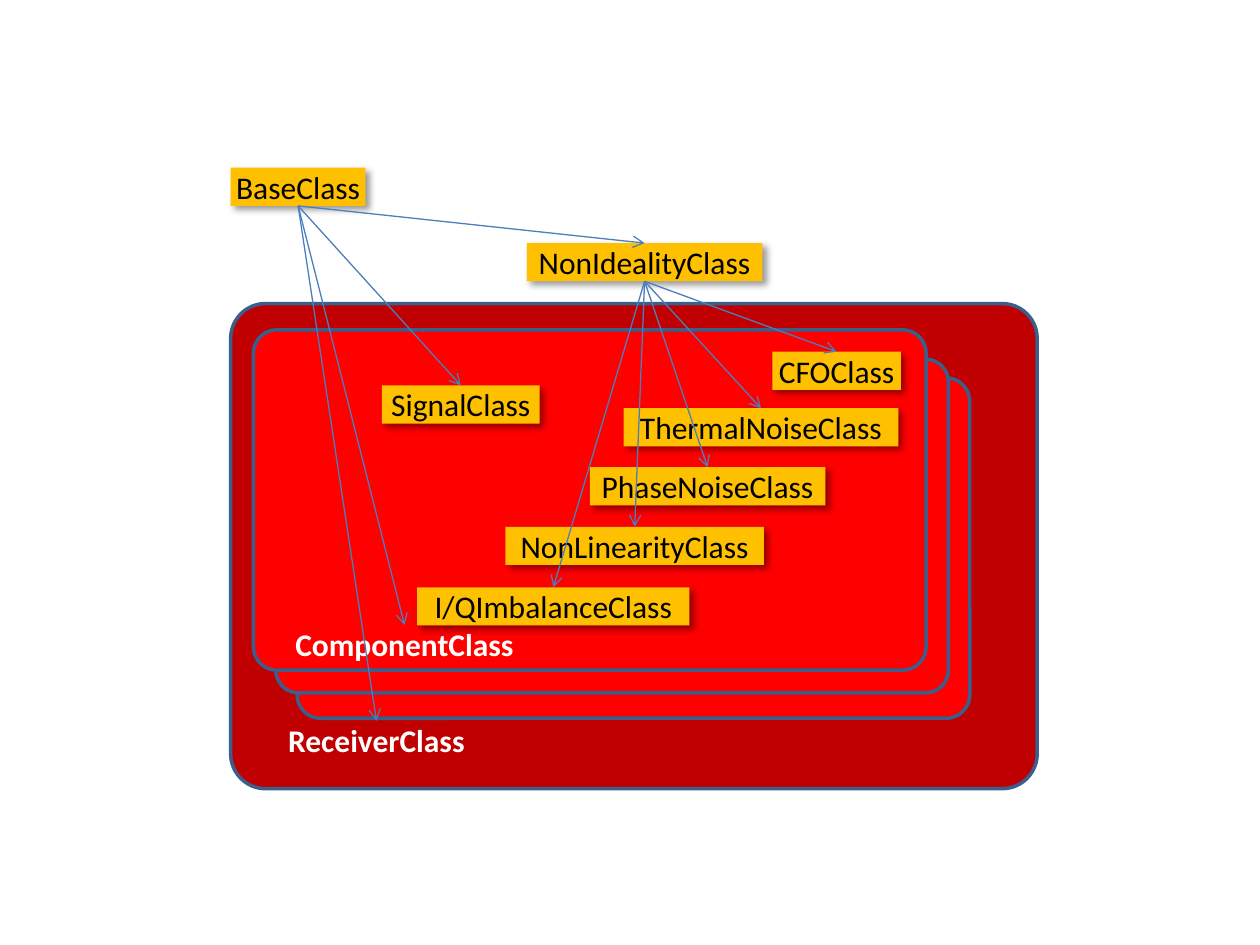
from dataclasses import dataclass

from lxml.etree import SubElement
from pptx import Presentation
from pptx.dml.color import RGBColor
from pptx.enum.shapes import MSO_CONNECTOR, MSO_SHAPE
from pptx.enum.text import MSO_ANCHOR, MSO_AUTO_SIZE, PP_ALIGN
from pptx.oxml.ns import qn
from pptx.shapes.base import BaseShape
from pptx.util import Cm, Pt

COLORS = {
    "receiver": "C00000",
    "component": "FF0000",
    "panel_border": "3A5F8C",
    "class_fill": "FFC000",
    "class_text": "000000",
    "panel_text": "FFFFFF",
    "arrow": "4B7EBC",
    "shadow": "000000",
}
LABEL_HEIGHT = 0.77
BOTTOM, TOP = 2, 0


@dataclass
class Panel:
    left: float
    top: float
    width: float
    height: float
    corner: float
    color: str


@dataclass
class ClassLabel:
    name: str
    left: float
    top: float
    width: float
    names_panel: bool = False


PANELS = [
    Panel(4.65, 6.12, 16.26, 9.78, 0.072, "receiver"),
    Panel(5.99, 7.62, 13.56, 6.86, 0.069, "component"),
    Panel(5.56, 7.24, 13.56, 6.73, 0.069, "component"),
    Panel(5.11, 6.65, 13.56, 6.86, 0.069, "component"),
]

LABELS = [
    ClassLabel("ComponentClass", 5.64, 12.6, 5.03, names_panel=True),
    ClassLabel("BaseClass", 4.65, 3.38, 2.72),
    ClassLabel("NonIdealityClass", 10.62, 4.9, 4.75),
    ClassLabel("ThermalNoiseClass", 12.57, 8.23, 5.54),
    ClassLabel("PhaseNoiseClass", 11.89, 9.42, 4.75),
    ClassLabel("NonLinearityClass", 10.19, 10.62, 5.21),
    ClassLabel("CFOClass", 15.57, 7.09, 2.59),
    ClassLabel("I/QImbalanceClass", 8.41, 11.84, 5.49),
    ClassLabel("SignalClass", 7.7, 7.77, 3.18),
    ClassLabel("ReceiverClass", 5.56, 14.53, 4.06, names_panel=True),
]

SUBCLASSES = {
    "BaseClass": ["NonIdealityClass", "SignalClass", "ComponentClass", "ReceiverClass"],
    "NonIdealityClass": ["CFOClass", "ThermalNoiseClass", "PhaseNoiseClass",
                         "NonLinearityClass", "I/QImbalanceClass"],
}


def rgb(role: str) -> RGBColor:
    return RGBColor.from_string(COLORS[role])


def add_drop_shadow(shape: BaseShape) -> None:
    """Put a soft shadow, cast to the lower right, in the shape's effect list."""
    effects = shape._element.spPr.find(qn("a:effectLst"))
    shadow = SubElement(effects, qn("a:outerShdw"), blurRad=str(Pt(4)), dist=str(Pt(3)),
                        dir="2700000", algn="tl", rotWithShape="0")
    color = SubElement(shadow, qn("a:srgbClr"), val=COLORS["shadow"])
    SubElement(color, qn("a:alpha"), val="40000")


def draw_panel(shapes, panel: Panel) -> None:
    body = shapes.add_shape(MSO_SHAPE.ROUNDED_RECTANGLE, Cm(panel.left), Cm(panel.top),
                            Cm(panel.width), Cm(panel.height))
    body.adjustments[0] = panel.corner
    body.shadow.inherit = False
    body.fill.solid()
    body.fill.fore_color.rgb = rgb(panel.color)
    body.line.color.rgb = rgb("panel_border")
    body.line.width = Pt(2)


def draw_label(shapes, label: ClassLabel) -> BaseShape:
    bounds = Cm(label.left), Cm(label.top), Cm(label.width), Cm(LABEL_HEIGHT)
    if label.names_panel:
        box = shapes.add_textbox(*bounds)
    else:
        box = shapes.add_shape(MSO_SHAPE.RECTANGLE, *bounds)
        box.fill.solid()
        box.fill.fore_color.rgb = rgb("class_fill")
        box.line.fill.background()
        box.shadow.inherit = False
        add_drop_shadow(box)

    frame = box.text_frame
    frame.margin_left = frame.margin_right = frame.margin_top = frame.margin_bottom = 0
    frame.word_wrap = True
    frame.auto_size = MSO_AUTO_SIZE.SHAPE_TO_FIT_TEXT
    frame.vertical_anchor = MSO_ANCHOR.TOP
    frame.text = label.name
    paragraph = frame.paragraphs[0]
    paragraph.alignment = PP_ALIGN.CENTER
    font = paragraph.runs[0].font
    font.name = "Calibri"
    font.size = Pt(18)
    font.bold = label.names_panel
    font.color.rgb = rgb("panel_text" if label.names_panel else "class_text")
    return box


def draw_arrow(shapes, parent: BaseShape, child: BaseShape) -> None:
    arrow = shapes.add_connector(MSO_CONNECTOR.STRAIGHT, 0, 0, 0, 0)
    arrow.begin_connect(parent, BOTTOM)
    arrow.end_connect(child, TOP)
    arrow.line.color.rgb = rgb("arrow")
    arrow.line.width = Pt(0.75)
    SubElement(arrow.line._get_or_add_ln(), qn("a:tailEnd"), type="arrow")
    SubElement(arrow._element.spPr, qn("a:effectLst"))


def main() -> None:
    presentation = Presentation()
    presentation.slide_width = Cm(25.4)
    presentation.slide_height = Cm(19.05)
    shapes = presentation.slides.add_slide(presentation.slide_layouts[6]).shapes

    for panel in PANELS:
        draw_panel(shapes, panel)
    boxes = {label.name: draw_label(shapes, label) for label in LABELS}
    for parent, children in SUBCLASSES.items():
        for child in children:
            draw_arrow(shapes, boxes[parent], boxes[child])

    presentation.save("out.pptx")


if __name__ == "__main__":
    main()
